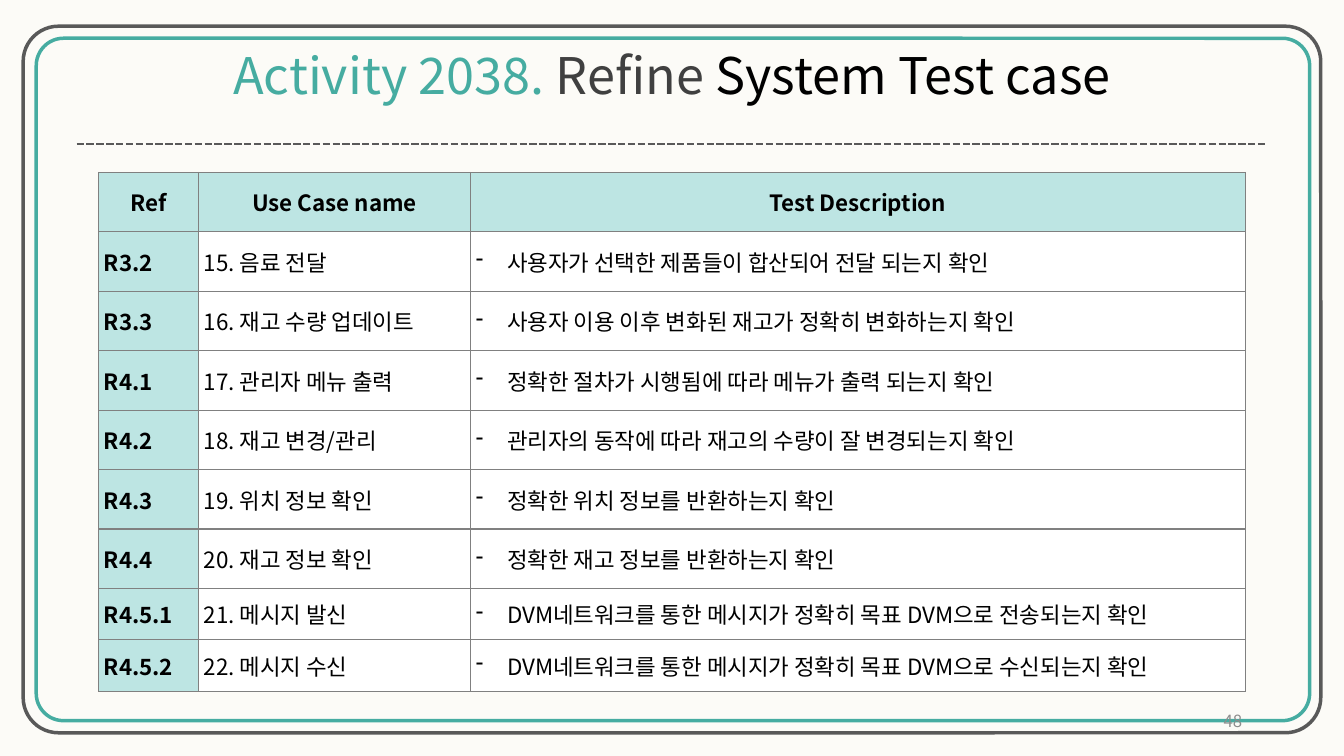
from dataclasses import dataclass

from lxml.etree import SubElement
from pptx import Presentation
from pptx.dml.color import RGBColor
from pptx.enum.dml import MSO_LINE
from pptx.enum.shapes import MSO_CONNECTOR, MSO_SHAPE
from pptx.enum.text import MSO_ANCHOR, PP_ALIGN
from pptx.oxml import parse_xml
from pptx.oxml.ns import nsdecls, qn
from pptx.util import Inches, Pt


@dataclass(frozen=True)
class Theme:
    """Colours, font and type sizes of the slide."""
    font: str = "Noto Sans CJK KR"
    paper: str = "FCFBF7"
    teal: str = "46ACA1"
    pale_teal: str = "BDE5E3"
    white: str = "FFFFFF"
    black: str = "000000"
    charcoal: str = "404040"
    frame: str = "595959"
    border: str = "808080"
    muted: str = "8C8C8C"
    title_size: int = 36
    table_size: int = 16
    page_size: int = 12


def rgb(value):
    """Turn a hex string into a colour."""
    return RGBColor.from_string(value)


class SlideBuilder:
    """Draws themed elements on one slide."""

    def __init__(self, slide, theme):
        """Keep the slide and theme, and paint the background."""
        self.s, self.theme = slide, theme
        fill = slide.background.fill
        fill.solid()
        fill.fore_color.rgb = rgb(theme.paper)

    def style(self, p, size, color, align, bold=False):
        """Set the font and alignment of a whole paragraph."""
        p.alignment = align
        font = p.font
        font.name, font.size, font.bold = self.theme.font, Pt(size), bold
        font.color.rgb = rgb(color)
        ea = SubElement(p._p.pPr.find(qn("a:defRPr")), qn("a:ea"))
        ea.set("typeface", self.theme.font)

    def frame(self, x, y, w, h, radius, color):
        """Draw an unfilled rounded frame."""
        sp = self.s.shapes.add_shape(
            MSO_SHAPE.ROUNDED_RECTANGLE, Inches(x), Inches(y), Inches(w), Inches(h))
        sp.adjustments[0] = radius
        sp.shadow.inherit = False
        sp.fill.background()
        sp.line.color.rgb = rgb(color)
        sp.line.width = Pt(2.5)

    def divider(self, x1, x2, y):
        """Draw a dashed horizontal line."""
        line = self.s.shapes.add_connector(
            MSO_CONNECTOR.STRAIGHT, Inches(x1), Inches(y), Inches(x2), Inches(y))
        line.line.color.rgb = rgb(self.theme.frame)
        line.line.width = Pt(1.75)
        line.line.dash_style = MSO_LINE.SQUARE_DOT
        SubElement(line._element.spPr, qn("a:effectLst"))

    def text(self, x, y, w, h, runs, size, align, anchor=MSO_ANCHOR.TOP, wrap=True):
        """Add one line of text made of (wording, colour) runs."""
        sp = self.s.shapes.add_textbox(Inches(x), Inches(y), Inches(w), Inches(h))
        tf = sp.text_frame
        tf.word_wrap, tf.vertical_anchor = wrap, anchor
        p = tf.paragraphs[0]
        self.style(p, size, runs[0][1], align)
        for wording, color in runs:
            r = p.add_run()
            r.text = wording
            r.font.color.rgb = rgb(color)

    def borders(self, cell):
        """Draw a thin line on all four sides of a cell."""
        for i, side in enumerate(("lnL", "lnR", "lnT", "lnB")):
            cell._tc.get_or_add_tcPr().insert(i, parse_xml(
                f'<a:{side} {nsdecls("a")} w="12700"><a:solidFill>'
                f'<a:srgbClr val="{self.theme.border}"/></a:solidFill></a:{side}>'))

    def dash_bullet(self, p):
        """Give a paragraph a hanging dash."""
        pPr = p._p.get_or_add_pPr()
        pPr.set("marL", str(Inches(0.31)))
        pPr.set("indent", str(Inches(-0.31)))
        pPr.insert(0, parse_xml(f'<a:buChar {nsdecls("a")} char="-"/>'))

    def cell(self, cell, wording, heading, align):
        """Fill in and style one table cell."""
        t = self.theme
        cell.fill.solid()
        cell.fill.fore_color.rgb = rgb(t.pale_teal if heading else t.white)
        cell.vertical_anchor = MSO_ANCHOR.MIDDLE
        cell.margin_left = cell.margin_right = Inches(0.05)
        cell.margin_top = cell.margin_bottom = 0
        self.borders(cell)
        p = cell.text_frame.paragraphs[0]
        p.add_run().text = wording
        self.style(p, t.table_size, t.black, align, heading)
        return p

    def table(self, x, y, widths, heights, rows):
        """Add a table with a heading row, heading column and dashed last column."""
        table = self.s.shapes.add_table(
            len(rows), len(widths), Inches(x), Inches(y),
            Inches(sum(widths)), Inches(sum(heights))).table
        for column, width in zip(table.columns, widths):
            column.width = Inches(width)
        for i, (height, row) in enumerate(zip(heights, rows)):
            table.rows[i].height = Inches(height)
            align = PP_ALIGN.JUSTIFY if i else PP_ALIGN.CENTER
            for j, wording in enumerate(row):
                p = self.cell(table.cell(i, j), wording, i == 0 or j == 0, align)
                if i and j == len(row) - 1:
                    self.dash_bullet(p)


TEST_CASES = [
    ("Ref", "Use Case name", "Test Description"),
    ("R3.2", "15. 음료 전달", "사용자가 선택한 제품들이 합산되어 전달 되는지 확인"),
    ("R3.3", "16. 재고 수량 업데이트", "사용자 이용 이후 변화된 재고가 정확히 변화하는지 확인"),
    ("R4.1", "17. 관리자 메뉴 출력", "정확한 절차가 시행됨에 따라 메뉴가 출력 되는지 확인"),
    ("R4.2", "18. 재고 변경/관리", "관리자의 동작에 따라 재고의 수량이 잘 변경되는지 확인"),
    ("R4.3", "19. 위치 정보 확인", "정확한 위치 정보를 반환하는지 확인"),
    ("R4.4", "20. 재고 정보 확인", "정확한 재고 정보를 반환하는지 확인"),
    ("R4.5.1", "21. 메시지 발신", "DVM네트워크를 통한 메시지가 정확히 목표 DVM으로 전송되는지 확인"),
    ("R4.5.2", "22. 메시지 수신", "DVM네트워크를 통한 메시지가 정확히 목표 DVM으로 수신되는지 확인"),
]


def main():
    """Build and save the slide."""
    prs = Presentation()
    prs.slide_width, prs.slide_height = Inches(13.33), Inches(7.5)
    theme = Theme()
    s = SlideBuilder(prs.slides.add_slide(prs.slide_layouts[6]), theme)
    s.frame(0.36, 0.38, 12.63, 6.77, 0.04, theme.teal)
    s.frame(0.23, 0.26, 12.87, 7.01, 0.05, theme.frame)
    title = [("Activity 2038. ", theme.teal), ("Refine", theme.charcoal),
             (" System Test case", theme.black)]
    s.text(2.19, 0.39, 8.95, 0.71, title, theme.title_size, PP_ALIGN.CENTER, wrap=False)
    s.divider(0.76, 12.57, 1.43)
    s.table(0.98, 1.71, (0.99, 2.7, 7.68), [0.59] * 7 + [0.51] * 2, TEST_CASES)
    s.text(9.42, 6.95, 3, 0.4, [("48", theme.muted)], theme.page_size,
           PP_ALIGN.RIGHT, MSO_ANCHOR.MIDDLE)
    prs.save("out.pptx")


main()
